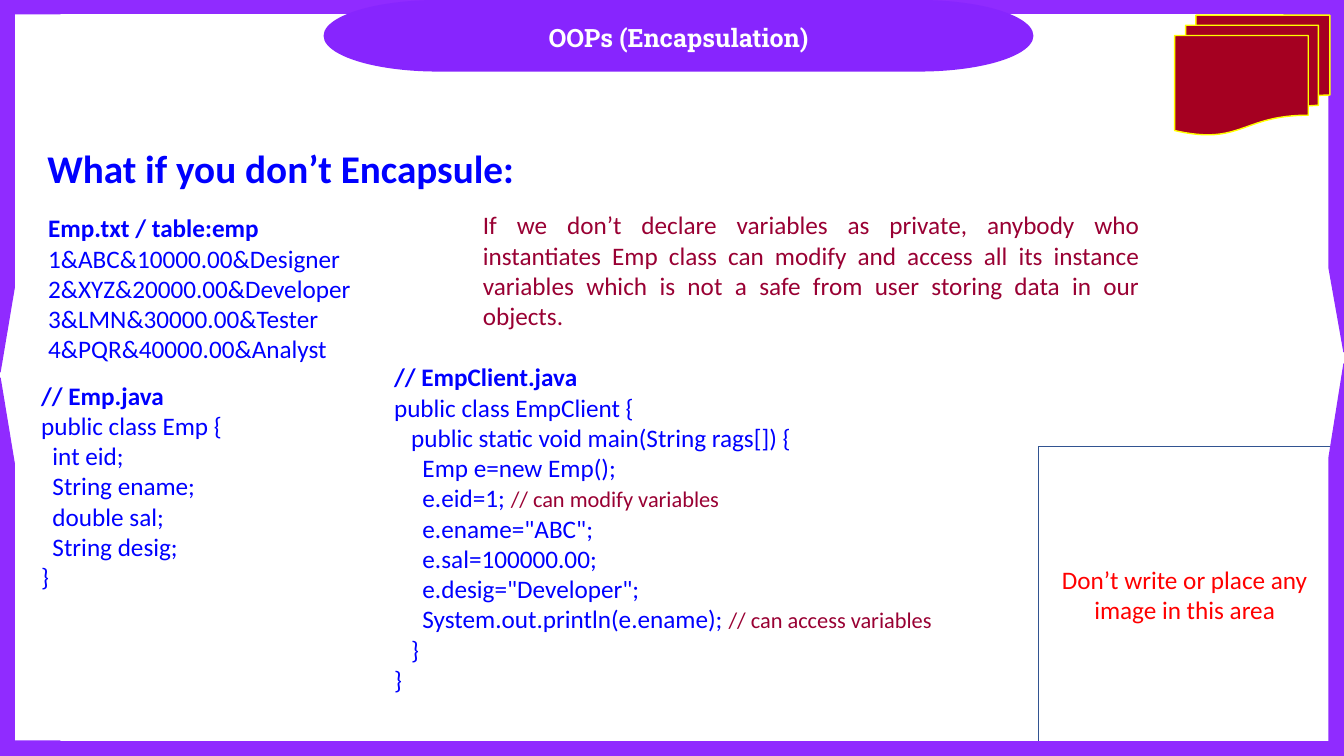
from pptx import Presentation
from pptx.dml.color import RGBColor
from pptx.enum import shapes, text
from pptx.util import Inches, Pt

COLORS = {
    "frame": "902BFF", "banner": "8725FE", "white": "FFFFFF",
    "code": "0000FF", "note": "990033", "warning": "FF0000",
    "pages": "A50021", "pages_line": "FFFF00", "area_line": "325491",
}
WIDTH, HEIGHT = 13.33, 7.5
SHAPE = shapes.MSO_SHAPE
ALIGN = text.PP_ALIGN

EMP_DATA = """Emp.txt / table:emp
1&ABC&10000.00&Designer
2&XYZ&20000.00&Developer
3&LMN&30000.00&Tester
4&PQR&40000.00&Analyst"""

EMP_CLASS = """// Emp.java
public class Emp {
  int eid;
  String ename;
  double sal;
  String desig;
}"""

CLIENT_CLASS = """// EmpClient.java
public class EmpClient {
   public static void main(String rags[]) {
     Emp e=new Emp();
     e.eid=1; // can modify variables
     e.ename="ABC";
     e.sal=100000.00;
     e.desig="Developer";
     System.out.println(e.ename); // can access variables
   }
}"""

EXPLANATION = (
    "If we don’t declare variables as private, anybody who instantiates Emp "
    "class can modify and access all its instance variables which is not a "
    "safe from user storing data in our objects."
)


def color(name):
    return RGBColor.from_string(COLORS[name])


def write(p, words, size=18, fill="code", bold=False, font="Calibri",
          align=ALIGN.JUSTIFY):
    p.alignment = align
    r = p.add_run()
    r.text = words
    r.font.name = font
    r.font.size = Pt(size)
    r.font.bold = bold
    r.font.color.rgb = color(fill)


def add_shape(s, kind, box, fill, line=None):
    sp = s.shapes.add_shape(kind, *map(Inches, box))
    sp.shadow.inherit = False
    sp.fill.solid()
    sp.fill.fore_color.rgb = color(fill)
    if line:
        sp.line.color.rgb = color(line)
        sp.line.width = Pt(1)
    else:
        sp.line.fill.background()
    return sp


def add_text_frame(s, box):
    tf = s.shapes.add_textbox(*map(Inches, box)).text_frame
    tf.word_wrap = True
    return tf


def add_frame(s, width, height):
    bar, side = 0.14, 0.62
    right = width - side
    corners = [
        (0, 0, 3.69, 0, False, (0.218, 0.228)),
        (right, 0, 3.49, 0, True, (0.228, 0.239)),
        (0, 3.75, 3.75, 180, True, (0.239, 0.228)),
        (right, 3.61, 3.89, 180, False, (0.228, 0.239)),
    ]
    for left, top, tall, turn, flip, adjust in corners:
        sp = add_shape(s, SHAPE.HALF_FRAME, (left, top, side, tall),
                       "frame", "frame")
        sp.rotation = turn
        if flip:
            sp._element.spPr.xfrm.set("flipH", "1")
        for i, value in enumerate(adjust):
            sp.adjustments[i] = value
    for top in (-0.01, height - bar):
        add_shape(s, SHAPE.RECTANGLE, (0, top, width, bar), "frame", "frame")


def add_banner(s, box, words):
    left, top, width, height = box
    add_shape(s, SHAPE.FLOWCHART_TERMINATOR, box, "banner")
    tf = add_text_frame(s, (left + 0.11, top + 0.17, width - 0.22, 0.4))
    write(tf.paragraphs[0], words, fill="white", bold=True,
          font="Roboto Slab", align=ALIGN.CENTER)


def add_reserved_area(s, box, words):
    sp = add_shape(s, SHAPE.RECTANGLE, box, "white", "area_line")
    tf = sp.text_frame
    tf.word_wrap = True
    tf.vertical_anchor = text.MSO_ANCHOR.MIDDLE
    write(tf.paragraphs[0], words, fill="warning", align=ALIGN.CENTER)


def add_title(s, box, words):
    sp = s.shapes.title
    sp.left, sp.top, sp.width, sp.height = map(Inches, box)
    tf = sp.text_frame
    tf.auto_size = text.MSO_AUTO_SIZE.NONE
    tf.word_wrap = False
    tf.vertical_anchor = text.MSO_ANCHOR.TOP
    write(tf.paragraphs[0], words, size=28, bold=True)


def add_listing(s, box, listing):
    tf = add_text_frame(s, box)
    heading, *lines = listing.split("\n")
    write(tf.paragraphs[0], heading, bold=True)
    for line in lines:
        p = tf.add_paragraph()
        code, mark, comment = line.partition("//")
        write(p, code)
        if mark:
            write(p, mark + comment, size=16, fill="note")


def add_explanation(s, box, words):
    tf = add_text_frame(s, box)
    write(tf.paragraphs[0], words, fill="note")


def main():
    prs = Presentation()
    prs.slide_width, prs.slide_height = Inches(WIDTH), Inches(HEIGHT)
    s = prs.slides.add_slide(prs.slide_layouts[5])
    add_reserved_area(s, (10.3, 4.43, 2.9, 2.93),
                      "Don’t write or place any image in this area")
    add_frame(s, WIDTH, HEIGHT)
    add_banner(s, (3.21, 0, 7.04, 0.71), "OOPs (Encapsulation)")
    add_shape(s, SHAPE.FLOWCHART_MULTIDOCUMENT, (11.65, 0.15, 1.54, 1.19),
              "pages", "pages_line")
    add_title(s, (0.37, 1.38, 4.88, 0.57), "What if you don’t Encapsule:")
    add_listing(s, (0.38, 2.06, 3.24, 1.62), EMP_DATA)
    add_listing(s, (0.31, 3.72, 2.26, 2.22), EMP_CLASS)
    add_explanation(s, (4.69, 2.03, 6.71, 1.31), EXPLANATION)
    add_listing(s, (3.81, 3.54, 5.58, 3.43), CLIENT_CLASS)
    prs.save("out.pptx")


if __name__ == "__main__":
    main()
